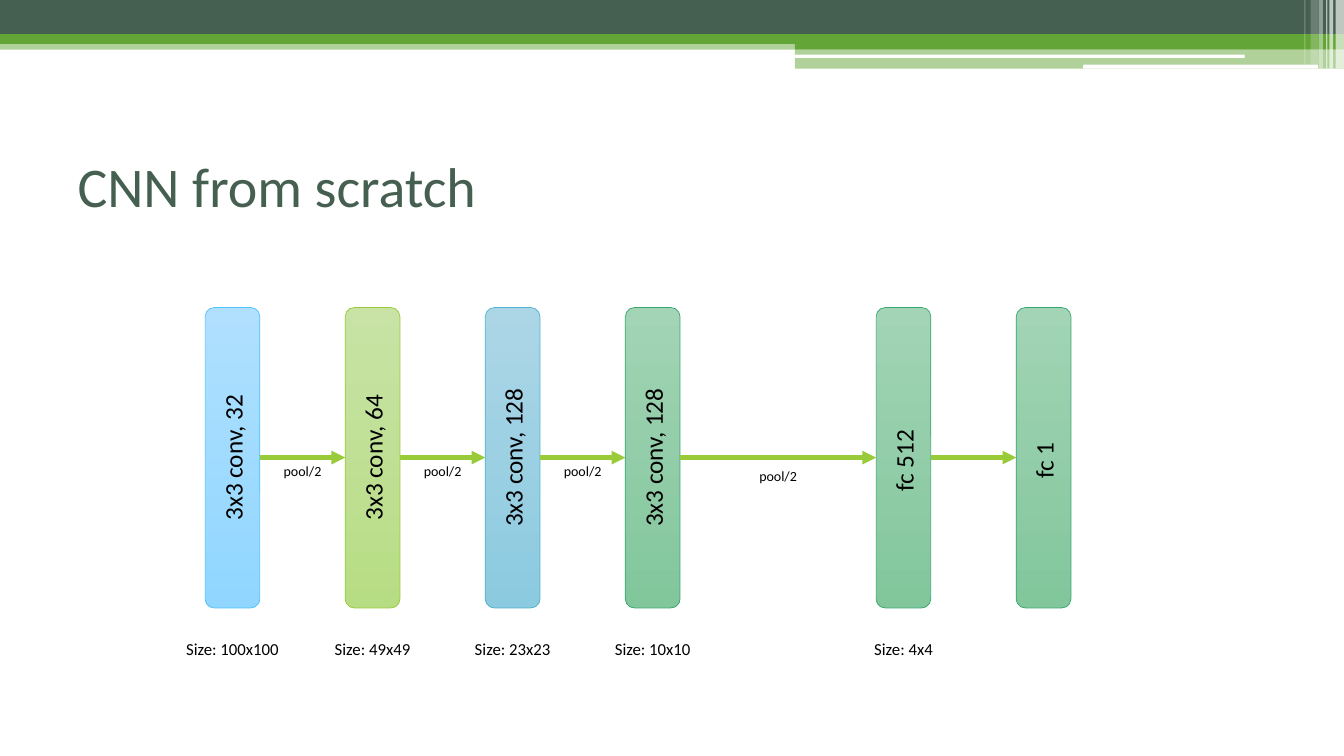
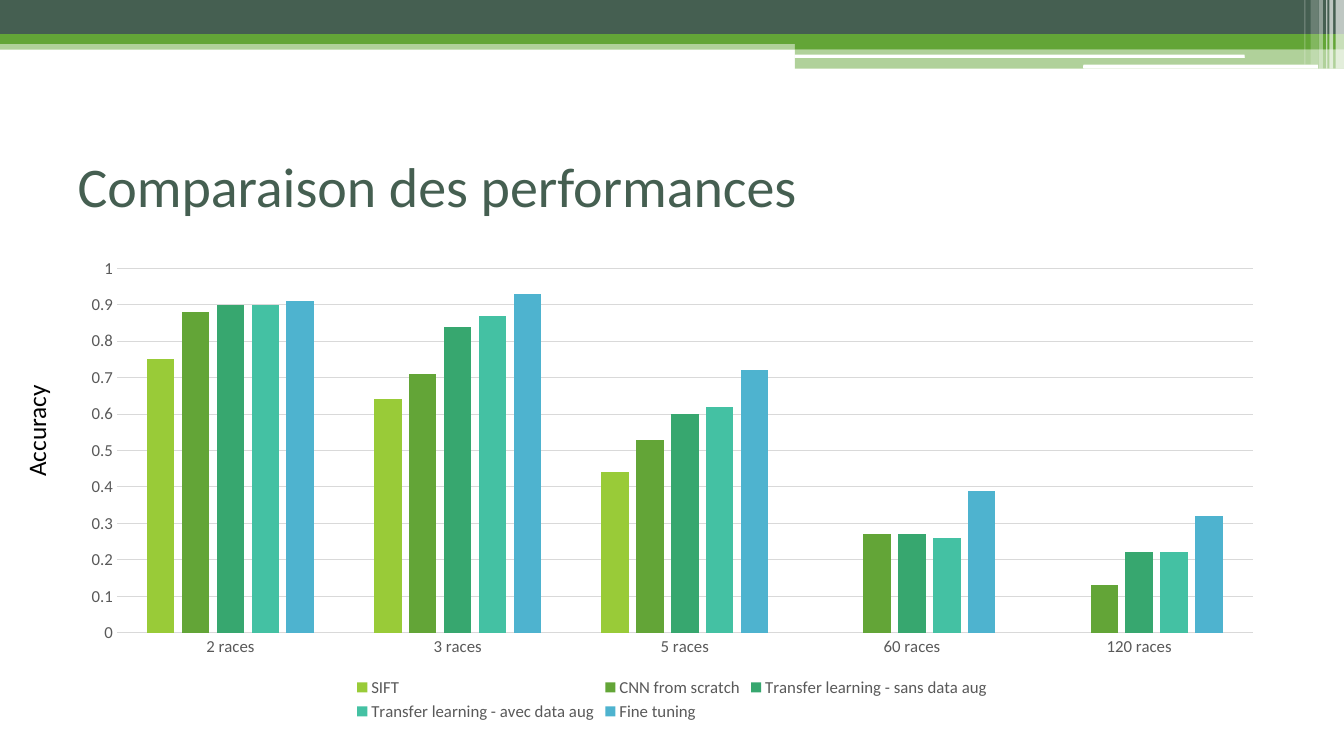
"""Build two slides: a network diagram and a chart comparing accuracies."""
import dataclasses
import typing

import lxml.etree
import pptx
import pptx.chart.data
import pptx.dml.color
import pptx.enum.chart
import pptx.enum.shapes
import pptx.enum.text
import pptx.oxml.ns
import pptx.util

Cm = pptx.util.Cm
Pt = pptx.util.Pt
Shapes = pptx.enum.shapes.MSO_SHAPE

FONT = "Calibri"
DARK, GREEN, LIME, WHITE, BLACK = "455F51", "63A537", "99CB38", "FFFFFF", "000000"
SEA, TEAL, BLUE = "37A76F", "44C1A3", "4EB3CF"
GREY, PALE_GREY = "595959", "D9D9D9"
PAGE_WIDTH, PAGE_HEIGHT = 33.87, 19.05
MARGIN, CONTENT_WIDTH = 1.7, 30.48

LAYER_TOP, LAYER_WIDTH, LAYER_HEIGHT = 7.75, 1.38, 7.57
LAYER_START, LAYER_PITCH, DENSE_START = 5.17, 3.53, 22.08
ARROW_Y = 11.53


@dataclasses.dataclass(frozen=True)
class Band:
    """A piece of the decoration at the top of each slide."""

    left: float
    top: float
    width: float
    height: float
    colour: str
    opacity: int = 100
    rounded: bool = False


@dataclasses.dataclass(frozen=True)
class Palette:
    """Gradient and outline colours of a layer."""

    light: str
    deep: str
    outline: str


@dataclasses.dataclass(frozen=True)
class Layer:
    """A layer of the network, with the link that leads to the next one."""

    label: str
    left: float
    palette: Palette
    size: str = ""
    link: str = ""
    link_drop: float = 0


@dataclasses.dataclass(frozen=True)
class Method:
    """A chart series."""

    name: str
    colour: str
    scores: tuple[float | None, ...]


BANDS = [
    Band(0, 1.02, PAGE_WIDTH, 0.23, GREEN, 50),
    Band(0, 0, PAGE_WIDTH, 0.86, DARK),
    Band(0, 0.86, PAGE_WIDTH, 0.25, GREEN),
    Band(20.03, 0.99, 13.84, 0.25, GREEN),
    Band(20.03, 1.24, 13.84, 0.49, GREEN, 50),
    Band(20.02, 1.38, 11.35, 0.08, WHITE, rounded=True),
    Band(27.3, 1.63, 5.92, 0.1, WHITE, rounded=True),
    Band(33.66, 0, 0.21, 1.73, WHITE, 65),
    Band(33.5, 0, 0.1, 1.73, WHITE, 65),
    Band(33.42, 0, 0.03, 1.73, WHITE, 60),
    Band(33.24, 0, 0.1, 1.73, WHITE, 40),
    Band(33.03, 0, 0.2, 1.63, WHITE, 20),
    Band(32.87, 0, 0.03, 1.63, WHITE, 30),
]

SKY_FILL = Palette("B0E0FE", "90D6FF", "51C3F9")
LIME_FILL = Palette("C8E3A5", "B7DD84", LIME)
BLUE_FILL = Palette("ACD6E6", "8CCAE0", BLUE)
SEA_FILL = Palette("A2D4B5", "82C69C", SEA)

LAYERS = [
    Layer("3x3 conv, 32", LAYER_START, SKY_FILL, "Size: 100x100", "pool/2"),
    Layer("3x3 conv, 64", LAYER_START + LAYER_PITCH, LIME_FILL, "Size: 49x49", "pool/2"),
    Layer("3x3 conv, 128", LAYER_START + 2 * LAYER_PITCH, BLUE_FILL, "Size: 23x23", "pool/2"),
    Layer("3x3 conv, 128", LAYER_START + 3 * LAYER_PITCH, SEA_FILL, "Size: 10x10", "pool/2", 0.13),
    Layer("fc 512 ", DENSE_START, SEA_FILL, "Size: 4x4"),
    Layer("fc 1 ", DENSE_START + LAYER_PITCH, SEA_FILL),
]

CATEGORIES = ["2 races", "3 races", "5 races", "60 races", "120 races"]
METHODS = [
    Method("SIFT", LIME, (0.75, 0.64, 0.44, None, None)),
    Method("CNN from scratch", GREEN, (0.88, 0.71, 0.53, 0.27, 0.13)),
    Method("Transfer learning - sans data aug", SEA, (0.9, 0.84, 0.6, 0.27, 0.22)),
    Method("Transfer learning - avec data aug", TEAL, (0.9, 0.87, 0.62, 0.26, 0.22)),
    Method("Fine tuning", BLUE, (0.91, 0.93, 0.72, 0.39, 0.32)),
]


def rgb(colour: str) -> pptx.dml.color.RGBColor:
    """Turn a hex string into a colour."""
    return pptx.dml.color.RGBColor.from_string(colour)


def find(shape: typing.Any, tag: str) -> typing.Any:
    """Return the first element of a shape with the given tag."""
    return next(shape.element.iter(pptx.oxml.ns.qn(tag)))


def add_child(parent: typing.Any, tag: str, **attributes: str) -> None:
    """Append an XML element to a parent."""
    lxml.etree.SubElement(parent, pptx.oxml.ns.qn(tag), attributes)


def style_font(font: typing.Any, size: float, colour: str) -> None:
    """Set the typeface, size and colour of a font."""
    font.name, font.size = FONT, Pt(size)
    font.color.rgb = rgb(colour)


def write(shape: typing.Any, text: str, size: float, colour: str = BLACK,
          centred: bool = True, upward: bool = False) -> None:
    """Put one run of text into a shape."""
    frame = shape.text_frame
    frame.word_wrap = True
    frame.auto_size = pptx.enum.text.MSO_AUTO_SIZE.NONE
    para = frame.paragraphs[0]
    align = pptx.enum.text.PP_ALIGN
    para.alignment = align.CENTER if centred else align.LEFT
    span = para.add_run()
    span.text = text
    style_font(span.font, size, colour)
    if upward:
        find(shape, "a:bodyPr").set("vert", "vert270")


def add_label(page: typing.Any, text: str, centre: float, top: float, width: float,
              height: float, size: float, upward: bool = False) -> None:
    """Add a text box centred on a horizontal position."""
    box = page.shapes.add_textbox(Cm(centre - width / 2), Cm(top), Cm(width), Cm(height))
    write(box, text, size, upward=upward)


def add_bands(page: typing.Any) -> None:
    """Draw the top decoration and hand it to the layout of the page."""
    for band in BANDS:
        kind = Shapes.ROUNDED_RECTANGLE if band.rounded else Shapes.RECTANGLE
        box = page.shapes.add_shape(
            kind, Cm(band.left), Cm(band.top), Cm(band.width), Cm(band.height))
        box.shadow.inherit = False
        box.line.fill.background()
        box.fill.solid()
        box.fill.fore_color.rgb = rgb(band.colour)
        if band.opacity < 100:
            add_child(find(box, "a:srgbClr"), "a:alpha", val=str(band.opacity * 1000))
        page.slide_layout.shapes.element.append(box.element)


def add_page(deck: typing.Any, title: str) -> typing.Any:
    """Add a title-only slide and set its title."""
    page = deck.slides.add_slide(deck.slide_layouts[5])
    box = page.shapes.title
    box.left, box.top = Cm(MARGIN), Cm(3.18)
    box.width, box.height = Cm(CONTENT_WIDTH), Cm(2.97)
    box.text_frame.vertical_anchor = pptx.enum.text.MSO_ANCHOR.MIDDLE
    write(box, title, 40, DARK, centred=False)
    return page


def add_layer(page: typing.Any, layer: Layer) -> None:
    """Draw a layer and its size label."""
    box = page.shapes.add_shape(
        Shapes.ROUNDED_RECTANGLE, Cm(layer.left), Cm(LAYER_TOP), Cm(LAYER_WIDTH), Cm(LAYER_HEIGHT))
    box.shadow.inherit = False
    box.fill.gradient()
    box.fill.gradient_angle = 270
    for stop, colour in zip(box.fill.gradient_stops, (layer.palette.light, layer.palette.deep)):
        stop.color.rgb = rgb(colour)
    box.line.color.rgb = rgb(layer.palette.outline)
    box.line.width = Pt(0.5)
    box.text_frame.vertical_anchor = pptx.enum.text.MSO_ANCHOR.MIDDLE
    write(box, layer.label, 18, upward=True)
    if layer.size:
        add_label(page, layer.size, layer.left + LAYER_WIDTH / 2, 15.98, 3.2, 0.77, 12)


def add_link(page: typing.Any, layer: Layer, following: Layer) -> None:
    """Draw the arrow between two layers and its label."""
    start, end = layer.left + LAYER_WIDTH, following.left
    arrow = page.shapes.add_connector(
        pptx.enum.shapes.MSO_CONNECTOR.STRAIGHT, Cm(start), Cm(ARROW_Y), Cm(end), Cm(ARROW_Y))
    arrow.line.color.rgb = rgb(LIME)
    arrow.line.width = Pt(3.25)
    add_child(find(arrow, "a:ln"), "a:tailEnd", type="triangle")
    add_child(find(arrow, "p:spPr"), "a:effectLst")
    if layer.link:
        add_label(page, layer.link, (start + end) / 2, ARROW_Y + layer.link_drop, 2, 0.68, 10)


def add_score_chart(page: typing.Any) -> None:
    """Draw the clustered columns of accuracies."""
    data = pptx.chart.data.CategoryChartData()
    data.categories = CATEGORIES
    for method in METHODS:
        data.add_series(method.name, method.scores)
    chart = page.shapes.add_chart(
        pptx.enum.chart.XL_CHART_TYPE.COLUMN_CLUSTERED,
        Cm(MARGIN), Cm(6.27), Cm(CONTENT_WIDTH), Cm(12.01), data).chart
    style_font(chart.font, 10, BLACK)
    chart.has_title = False
    chart.has_legend = True
    chart.legend.position = pptx.enum.chart.XL_LEGEND_POSITION.BOTTOM
    chart.legend.include_in_layout = False
    style_font(chart.legend.font, 12, GREY)

    plot = chart.plots[0]
    plot.gap_width, plot.overlap, plot.vary_by_categories = 219, -27, False
    for series, method in zip(plot.series, METHODS):
        series.format.fill.solid()
        series.format.fill.fore_color.rgb = rgb(method.colour)

    values = chart.value_axis
    values.minimum_scale, values.maximum_scale, values.major_unit = 0, 1, 0.1
    values.has_major_gridlines = True
    for axis in (chart.category_axis, values):
        axis.major_tick_mark = pptx.enum.chart.XL_TICK_MARK.NONE
        style_font(axis.tick_labels.font, 12, GREY)
    for line in (chart.category_axis.format.line, values.major_gridlines.format.line):
        line.color.rgb = rgb(PALE_GREY)
        line.width = Pt(0.75)
    values.format.line.fill.background()


def main() -> None:
    """Build and save the deck."""
    deck = pptx.Presentation()
    deck.slide_width, deck.slide_height = Cm(PAGE_WIDTH), Cm(PAGE_HEIGHT)

    page = add_page(deck, "CNN from scratch")
    add_bands(page)
    for layer in LAYERS:
        add_layer(page, layer)
    for layer, following in zip(LAYERS, LAYERS[1:]):
        add_link(page, layer, following)

    page = add_page(deck, "Comparaison des performances")
    add_score_chart(page)
    add_label(page, "Accuracy", 1.04, 9.26, 1.27, 3.2, 18, upward=True)
    deck.save("out.pptx")


if __name__ == "__main__":
    main()
